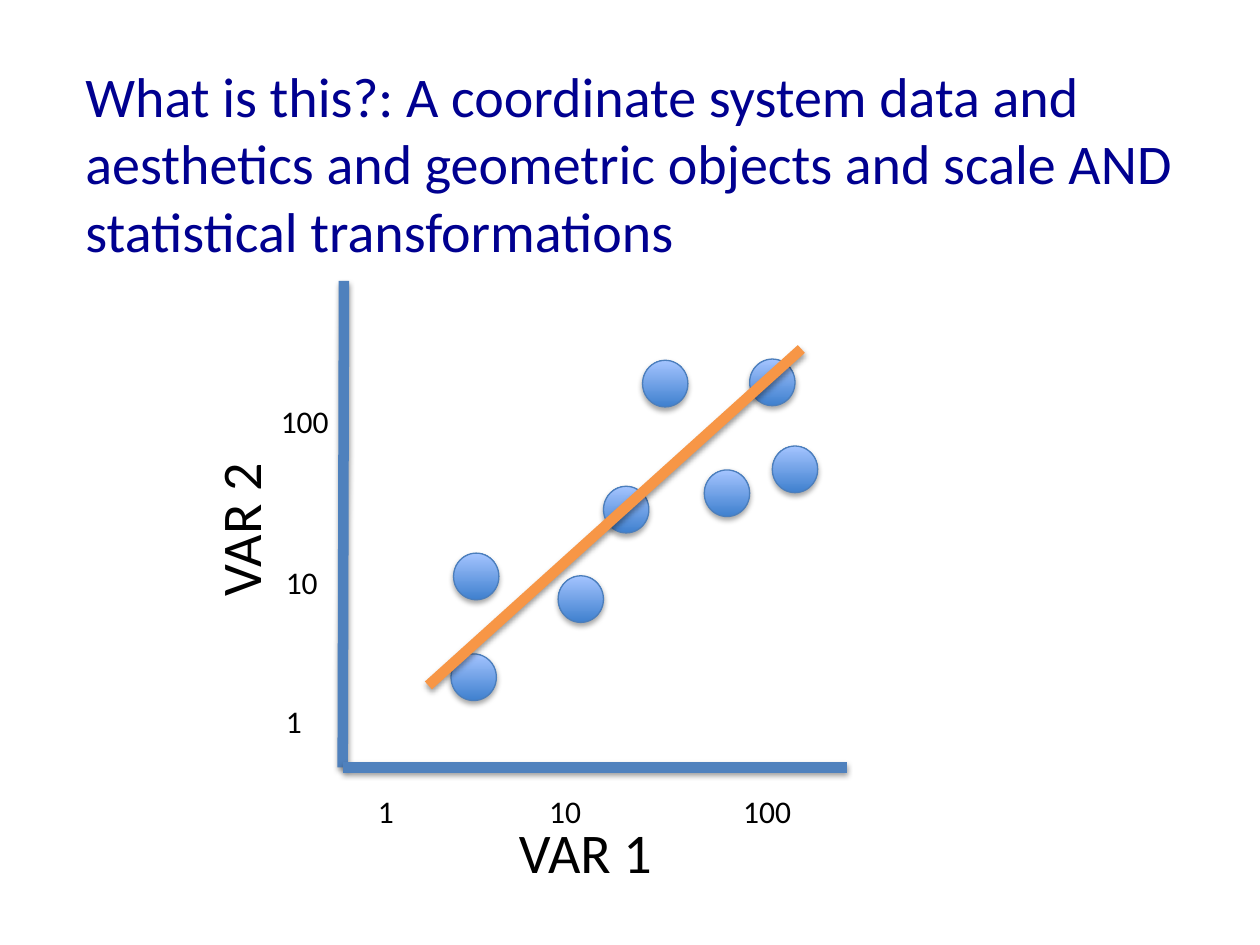
from collections import namedtuple
from dataclasses import dataclass

from lxml import etree
from pptx import Presentation
from pptx import util as u
from pptx.dml.color import RGBColor
from pptx.enum import shapes, text
from pptx.oxml.ns import qn

Box = namedtuple("Box", "left top width height")


@dataclass(frozen=True)
class Theme:
    font: str = "Calibri"
    heading: str = "000090"
    ink: str = "000000"
    axis: str = "4F81BD"
    trend: str = "F79646"
    point_bottom: str = "3F80CE"
    point_top: str = "A4C4FF"
    point_edge: str = "4B7EBC"
    large: int = 32
    small: int = 18
    stroke: float = 6
    edge: float = 0.75


THEME = Theme()
POINT_SIZE = (0.36, 0.37)
POINTS = [(2.87, 1.5), (3.23, 0.62), (2.38, 0.63), (2.07, 1.63),
          (1.71, 2.34), (3.41, 1.31), (0.86, 2.96), (0.88, 2.16)]
X_TICKS = [("1", 0.18), ("10", 1.54), ("100", 3.08)]
Y_TICKS = [("1", -0.55, 3.29), ("10", -0.55, 2.19), ("100", -0.59, 0.91)]


def color(value):
    return RGBColor.from_string(value)


def add_shadow(shape, opacity, distance):
    effects = etree.SubElement(shape._element.spPr, qn("a:effectLst"))
    shadow = etree.SubElement(
        effects, qn("a:outerShdw"), blurRad=str(u.Pt(3.1)),
        dist=str(u.Pt(distance)), dir="5400000", rotWithShape="0")
    tint = etree.SubElement(shadow, qn("a:srgbClr"), val=THEME.ink)
    etree.SubElement(tint, qn("a:alpha"), val=str(opacity * 1000))


def add_text(page, box, words, size, ink=THEME.ink, wrap=False):
    label = page.shapes.add_textbox(*map(u.Inches, box))
    frame = label.text_frame
    frame.word_wrap = wrap
    frame.auto_size = text.MSO_AUTO_SIZE.SHAPE_TO_FIT_TEXT
    para = frame.paragraphs[0]
    para.text = words
    para.font.name = THEME.font
    para.font.size = u.Pt(size)
    para.font.color.rgb = color(ink)
    return label


def add_stroke(page, box, start, end, ink):
    ends = [u.Inches(origin + offset) for point in (start, end)
            for origin, offset in zip(box[:2], point)]
    line = page.shapes.add_connector(shapes.MSO_CONNECTOR.STRAIGHT, *ends)
    line.line.color.rgb = color(ink)
    line.line.width = u.Pt(THEME.stroke)
    add_shadow(line, 38, 1.6)


def add_point(page, box, x, y):
    place = (box.left + x, box.top + y, *POINT_SIZE)
    point = page.shapes.add_shape(
        shapes.MSO_SHAPE.OVAL, *map(u.Inches, place))
    point.fill.gradient()
    point.fill.gradient_angle = 90
    for stop, ink in zip(point.fill.gradient_stops,
                         (THEME.point_bottom, THEME.point_top)):
        stop.color.rgb = color(ink)
    point.line.color.rgb = color(THEME.point_edge)
    point.line.width = u.Pt(THEME.edge)
    add_shadow(point, 35, 1.8)


def add_tick(page, box, words, x, y):
    place = Box(box.left + x, box.top + y, 0.2 + 0.13 * len(words), 0.4)
    add_text(page, place, words, THEME.small)


def add_axis_title(page, box, words, x, y, rotation=0):
    place = Box(box.left + x, box.top + y, 1.44, 0.64)
    add_text(page, place, words, THEME.large).rotation = rotation


def add_heading(page, box):
    add_text(page, box,
             "What is this?: A coordinate system data and aesthetics and "
             "geometric objects and scale AND statistical transformations",
             THEME.large, THEME.heading, wrap=True)


def add_scatter(page, box):
    corner = (0, box.height)
    add_stroke(page, box, (0.01, 0), corner, THEME.axis)
    add_stroke(page, box, (box.width, box.height), corner, THEME.axis)
    for x, y in POINTS:
        add_point(page, box, x, y)
    add_axis_title(page, box, "VAR 1", 1.3, box.height + 0.35)
    add_axis_title(page, box, "VAR 2", -1.54, 1.56, 270)
    add_stroke(page, box, (3.64, 0.54), (0.68, 3.21), THEME.trend)
    for words, x in X_TICKS:
        add_tick(page, box, words, x, box.height + 0.15)
    for words, x, y in Y_TICKS:
        add_tick(page, box, words, x, y)


def main():
    deck = Presentation()
    deck.slide_width, deck.slide_height = u.Inches(10), u.Inches(7.5)
    page = deck.slides.add_slide(deck.slide_layouts[6])
    add_heading(page, Box(0.58, 0.44, 9.07, 1.72))
    add_scatter(page, Box(2.72, 2.23, 4, 3.86))
    deck.save("out.pptx")


if __name__ == "__main__":
    main()
